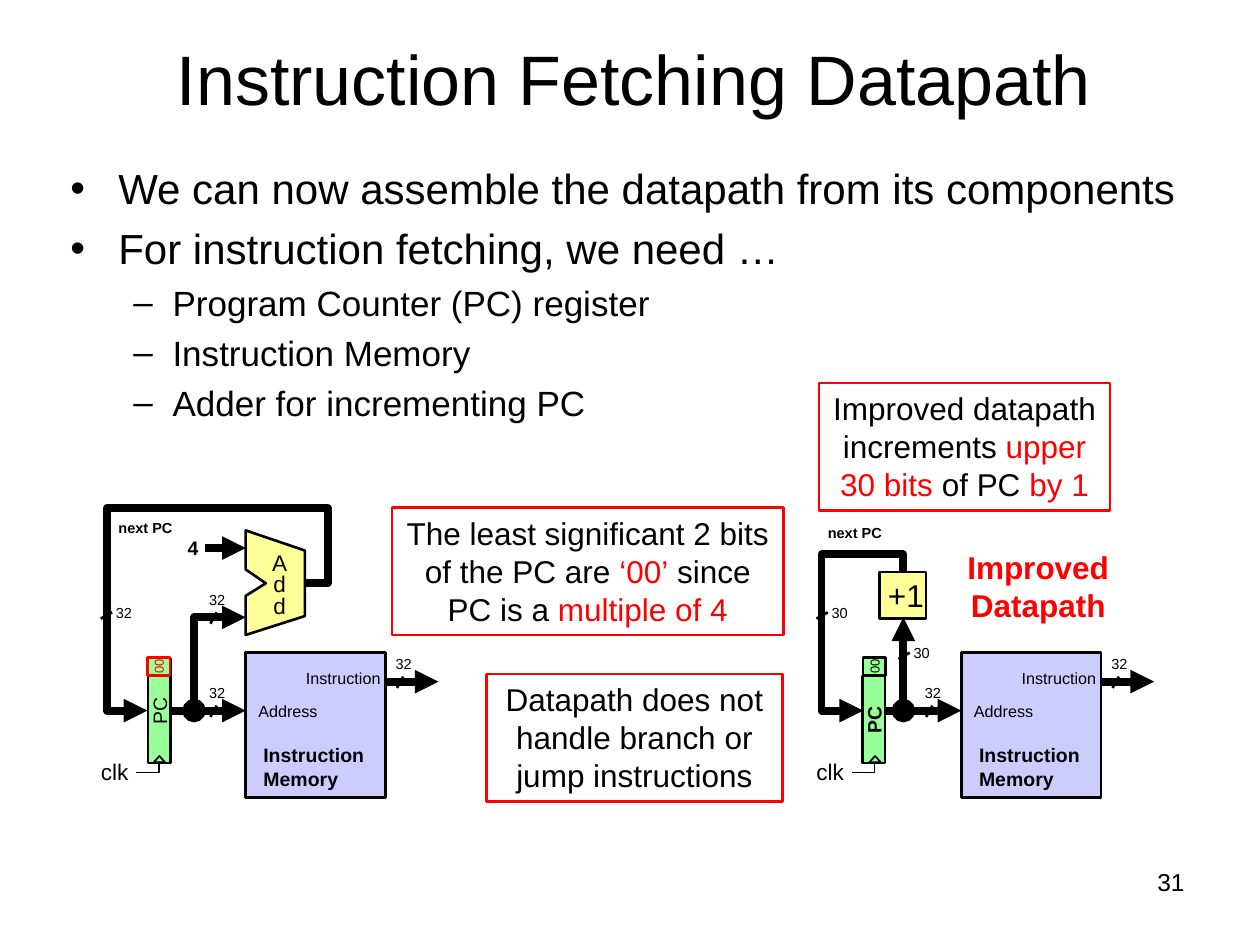
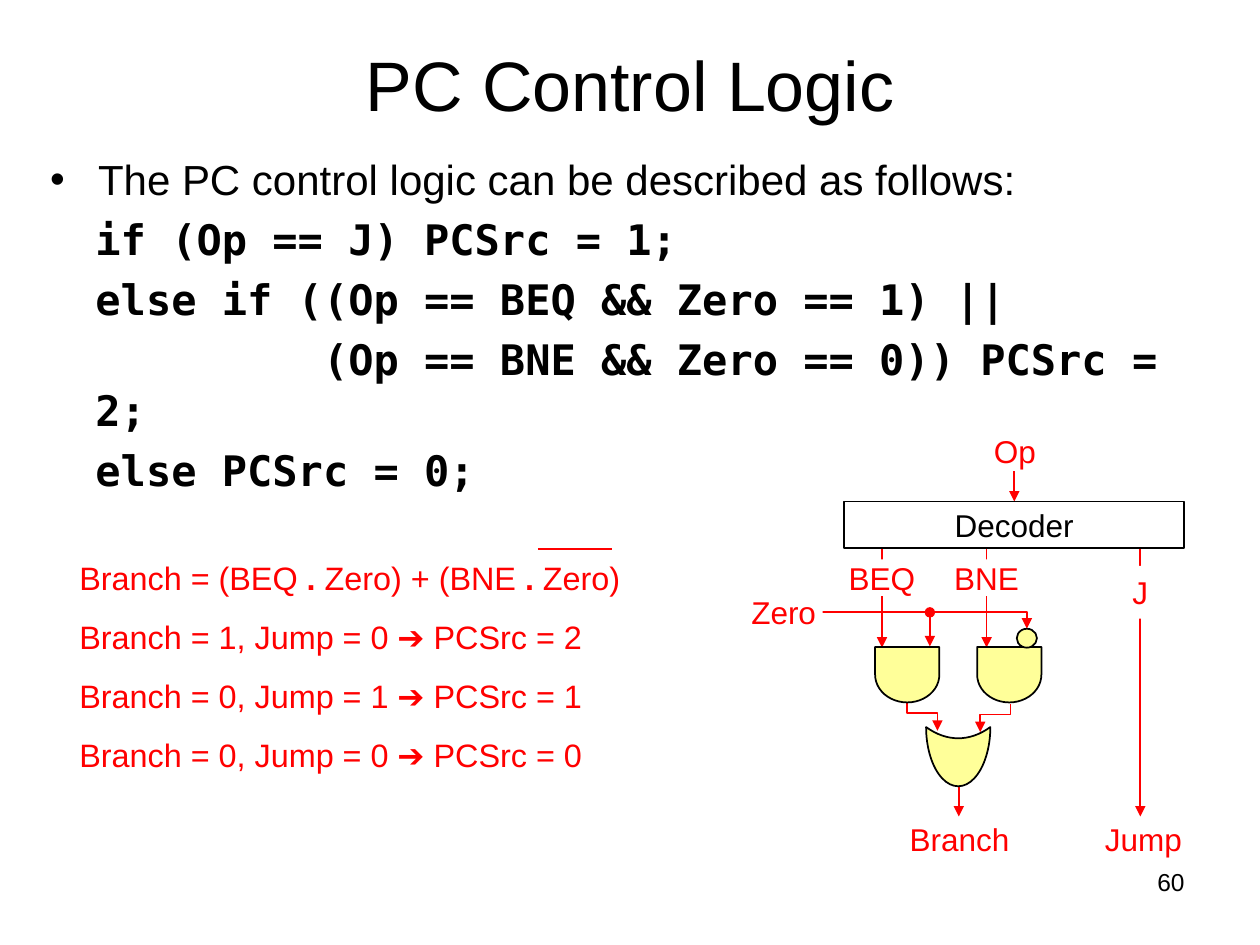
from lxml.etree import SubElement
from pptx import Presentation
from pptx.dml.color import RGBColor
from pptx.enum.shapes import MSO_CONNECTOR, MSO_SHAPE as Preset
from pptx.enum.text import MSO_ANCHOR as Anchor, PP_ALIGN as Align
from pptx.oxml.ns import qn
from pptx.util import Emu, Inches, Pt

BLACK = RGBColor(0, 0, 0)
WHITE = RGBColor(255, 255, 255)
RED = RGBColor(255, 0, 0)
GREEN = RGBColor(0x99, 0xFF, 0x99)
LILAC = RGBColor(0xCC, 0xCC, 0xFF)
YELLOW = RGBColor(0xFF, 0xFF, 0x99)
SANS, MONO = "Arial", "DejaVu Sans Mono"
TIGHT = (0, 0, 0, 0)
ROOMY = (0.1, 0.05, 0.1, 0.05)
BUS, EDGE, THIN = 4.5, 1.5, 1

STYLES = {
    "bullet": dict(left=0.38, hang=0.38, marker="•", size=24, font=SANS, bold=False),
    "dash": dict(left=0.81, hang=0.31, marker="–", size=20, font=SANS, bold=False),
    "code": dict(left=0.36, hang=0, marker=None, size=24, font=MONO, bold=True),
}

FETCH = {
    "title": "Instruction Fetching Datapath",
    "title_box": (0.53, -0.01, 9, 1.25),
    "body_box": (0.5, 1.26, 9, 2.72),
    "body_inset": (0.06, 0.03, 0.06, 0.03),
    "body": [
        ("bullet", "We can now assemble the datapath from its components"),
        ("bullet", "For instruction fetching, we need …"),
        ("dash", "Program Counter (PC) register"),
        ("dash", "Instruction Memory"),
        ("dash", "Adder for incrementing PC"),
    ],
    "number": "31",
}
CONTROL = {
    "title": "PC Control Logic",
    "title_box": (0.5, 0.04, 9, 1.25),
    "body_box": (0.3, 1.17, 9.4, 2.91),
    "body_inset": ROOMY,
    "body": [
        ("bullet", "The PC control logic can be described as follows:"),
        ("code", "if (Op == J) PCSrc = 1;"),
        ("code", "else if ((Op == BEQ && Zero == 1) ||"),
        ("code", "         (Op == BNE && Zero == 0)) PCSrc = 2;"),
        ("code", "else PCSrc = 0;"),
    ],
    "number": "60",
}

NOTES = [
    ((3.11, 4.03, 3.11, 1.01), [
        ("The least significant 2 bits of the PC are ", BLACK, False),
        ("‘00’", RED, False),
        (" since PC is a ", BLACK, False),
        ("multiple of 4", RED, False)]),
    ((3.86, 5.35, 2.35, 1.01),
     "Datapath does not handle branch or jump instructions"),
    ((6.5, 3.04, 2.31, 1.01), [
        ("Improved datapath increments ", BLACK, False),
        ("upper 30 bits", RED, False),
        (" of PC ", BLACK, False),
        ("by 1", RED, False)]),
]

BASIC = {
    "left": 0.8, "width": "32", "next_pc": (0.14, 4.12, 0.51, 0.14),
    "register": (0.05, 5.55, 0.83, 0.18), "register_bold": False, "zeros": RED,
    "loop": [(1.62, 4.63), (1.8, 4.63), (1.8, 4.03), (0.05, 4.03),
             (0.05, 5.64), (0.37, 5.64)],
    "tap": [(0.74, 5.64), (0.74, 4.9), (1.15, 4.9)],
    "tap_label": (0.83, 4.67, False),
}
IMPROVED = {
    "left": 6.48, "width": "30", "next_pc": (0.09, 4.16, 0.51, 0.14),
    "register": (0.11, 5.62, 0.69, 0.18), "register_bold": True, "zeros": BLACK,
    "loop": [(0.69, 4.54), (0.69, 4.4), (0.04, 4.4), (0.04, 5.64), (0.37, 5.64)],
    "tap": [(0.69, 5.64), (0.69, 4.9)],
    "tap_label": (0.74, 5.09, True),
}
ADDER = [(1.15, 5.04), (1.62, 4.89), (1.62, 4.37), (1.15, 4.21),
         (1.15, 4.52), (1.31, 4.63), (1.15, 4.73)]

BRANCH_RULES = [
    [("Branch = (BEQ ", RED, False), (". ", RED, True),
     ("Zero) + (BNE ", RED, False), (". ", RED, True), ("Zero)", RED, False)],
    "Branch = 1, Jump = 0 ➔ PCSrc = 2",
    "Branch = 0, Jump = 1 ➔ PCSrc = 1",
    "Branch = 0, Jump = 0 ➔ PCSrc = 0",
]
SIGNAL_WIRES = [
    ([(9.05, 4.35), (9.05, 6.48)], None, "triangle"),
    ([(8.15, 4.99), (8.15, 4.86), (6.48, 4.86)], "triangle", None),
    ([(8.05, 3.74), (8.05, 3.98)], None, "triangle"),
    ([(7, 4.35), (7, 5.14)], None, "triangle"),
    ([(7.83, 4.35), (7.83, 5.14)], None, "triangle"),
    ([(7.38, 4.86), (7.38, 5.13)], "oval", "triangle"),
    ([(7.2, 5.58), (7.2, 5.66), (7.44, 5.66), (7.44, 5.8)], None, "triangle"),
    ([(8.02, 5.59), (8.02, 5.67), (7.78, 5.67), (7.78, 5.81)], None, "triangle"),
    ([(7.61, 6.24), (7.61, 6.48)], None, "triangle"),
]
GATES = [
    (Preset.FLOWCHART_DELAY, (6.98, 5.1, 0.44, 0.51), 90),
    (Preset.FLOWCHART_DELAY, (7.79, 5.1, 0.44, 0.51), 90),
    (Preset.OVAL, (8.07, 4.99, 0.16, 0.15), 0),
    (Preset.MOON, (7.37, 5.75, 0.47, 0.51), 270),
]
SIGNALS = [
    ("Branch", (7.14, 6.51, 0.95, 0.29), None),
    ("Jump", (8.6, 6.51, 0.95, 0.29), None),
    ("Op", (7.7, 3.43, 0.71, 0.29), None),
    ("BEQ", (6.67, 4.44, 0.66, 0.29), WHITE),
    ("BNE", (7.5, 4.44, 0.66, 0.29), WHITE),
    ("J", (8.8, 4.49, 0.5, 0.42), WHITE),
    ("Zero", (5.91, 4.71, 0.62, 0.29), WHITE),
]


def write(shape, lines, size, color=BLACK, bold=False, align=Align.LEFT,
          anchor=Anchor.MIDDLE, inset=TIGHT, gap=0, spacing=None):
    frame = shape.text_frame
    frame.word_wrap = True
    frame.vertical_anchor = anchor
    (frame.margin_left, frame.margin_top,
     frame.margin_right, frame.margin_bottom) = map(Inches, inset)
    for index, line in enumerate(lines):
        para = frame.paragraphs[0] if index == 0 else frame.add_paragraph()
        para.alignment = align
        para.line_spacing = spacing
        if index:
            para.space_before = Pt(gap)
        para.font.name, para.font.size = SANS, Pt(size)
        if isinstance(line, str):
            para.text = line
            para.font.color.rgb, para.font.bold = color, bold
            continue
        for words, span_color, span_bold in line:
            span = para.add_run()
            span.text = words
            span.font.color.rgb, span.font.bold = span_color, span_bold


def label(page, box, lines, size, left=0, **style):
    x, y, width, height = box
    shape = page.shapes.add_textbox(*map(Inches, (left + x, y, width, height)))
    write(shape, lines, size, **style)
    return shape


def paint(shape, fill, line, weight):
    shape.shadow.inherit = False
    if fill is None:
        shape.fill.background()
    else:
        shape.fill.solid()
        shape.fill.fore_color.rgb = fill
    if line is None:
        shape.line.fill.background()
    else:
        shape.line.color.rgb, shape.line.width = line, Pt(weight)


def block(page, box, fill=None, line=BLACK, weight=EDGE, left=0,
          preset=Preset.RECTANGLE, turn=0):
    x, y, width, height = box
    shape = page.shapes.add_shape(preset, *map(Inches, (left + x, y, width, height)))
    shape.rotation = turn
    paint(shape, fill, line, weight)
    return shape


def outline(page, points, left, close):
    corners = [(Inches(left + x), Inches(y)) for x, y in points]
    builder = page.shapes.build_freeform(*corners[0], scale=1.0)
    builder.add_line_segments(corners[1:], close=close)
    return builder.convert_to_shape()


def wire(page, points, color=BLACK, weight=BUS, left=0, head=None, tail=None):
    if len(points) == 2:
        ends = [Emu(Inches(value)) for x, y in points for value in (left + x, y)]
        shape = page.shapes.add_connector(MSO_CONNECTOR.STRAIGHT, *ends)
        shape.line.color.rgb, shape.line.width = color, Pt(weight)
        SubElement(shape.element.spPr, qn("a:effectLst"))
    else:
        shape = outline(page, points, left, False)
        paint(shape, None, color, weight)
    stroke = shape.element.spPr.find(qn("a:ln"))
    for tag, kind in (("a:headEnd", head), ("a:tailEnd", tail)):
        if kind:
            SubElement(stroke, qn(tag)).set("type", kind)


def bus_label(page, x, y, upright, text, left):
    label(page, (x, y, 0.18, 0.18), [text], 8.3, left, inset=(0.03, 0, 0, 0))
    tick = ([(x, y + 0.09), (x - 0.09, y + 0.14)] if upright
            else [(x + 0.09, y + 0.19), (x + 0.04, y + 0.28)])
    wire(page, tick, weight=EDGE, left=left)


def add_body(page, content):
    box = page.shapes.add_textbox(*map(Inches, content["body_box"]))
    frame = box.text_frame
    frame.word_wrap = True
    (frame.margin_left, frame.margin_top,
     frame.margin_right, frame.margin_bottom) = map(Inches, content["body_inset"])
    for index, (kind, text) in enumerate(content["body"]):
        style = STYLES[kind]
        para = frame.paragraphs[0] if index == 0 else frame.add_paragraph()
        para.text = text
        props = para._p.get_or_add_pPr()
        props.set("marL", str(Inches(style["left"])))
        props.set("indent", str(-Inches(style["hang"])))
        if style["marker"]:
            SubElement(props, qn("a:buFont")).set("typeface", SANS)
            SubElement(props, qn("a:buChar")).set("char", style["marker"])
        if index:
            para.space_before = Pt(style["size"] * 0.23)
        para.font.name, para.font.size = style["font"], Pt(style["size"])
        para.font.bold, para.font.color.rgb = style["bold"], BLACK


def start_page(deck, content):
    page = deck.slides.add_slide(deck.slide_layouts[5])
    title = page.shapes.title
    title.left, title.top, title.width, title.height = map(Inches, content["title_box"])
    write(title, [content["title"]], 40, align=Align.CENTER, inset=ROOMY)
    add_body(page, content)
    label(page, (7.17, 6.83, 2.33, 0.52), [content["number"]], 14,
          align=Align.RIGHT, anchor=Anchor.TOP, inset=ROOMY)
    return page


def draw_datapath(page, path_plan):
    left = path_plan["left"]
    wire(page, path_plan["loop"], left=left, tail="triangle")
    wire(page, path_plan["tap"], left=left, head="oval", tail="triangle")
    wire(page, [(0.55, 5.64), (1.15, 5.64)], left=left, tail="triangle")
    wire(page, [(2.26, 5.41), (2.68, 5.41)], left=left, tail="triangle")

    block(page, (1.15, 5.18, 1.11, 1.15), LILAC, left=left)
    label(page, (1.25, 5.5, 0.69, 0.28), ["Address"], 9.2, left)
    label(page, (1.34, 5.27, 0.88, 0.23), ["Instruction"], 9.2, left, align=Align.RIGHT)
    label(page, (1.29, 5.83, 0.88, 0.51), ["Instruction", "Memory"], 11.1, left, bold=True)

    register = block(page, path_plan["register"], GREEN, left=left, turn=270)
    write(register, ["PC"], 11.1, bold=path_plan["register_bold"], align=Align.CENTER)
    zeros = block(page, (0.39, 5.2, 0.14, 0.18), GREEN, path_plan["zeros"],
                  left=left, turn=270)
    write(zeros, ["00"], 7.4, path_plan["zeros"], align=Align.CENTER)

    tap_x, tap_y, tap_upright = path_plan["tap_label"]
    for x, y, upright, text in [
        (2.31, 5.18, False, "32"),
        (0.83, 5.41, False, "32"),
        (0.09, 4.77, True, path_plan["width"]),
        (tap_x, tap_y, tap_upright, path_plan["width"]),
    ]:
        bus_label(page, x, y, upright, text, left)

    label(page, path_plan["next_pc"], ["next PC"], 8.3, left, bold=True)
    block(page, (0.42, 6, 0.09, 0.05), weight=THIN, left=left,
          preset=Preset.ISOSCELES_TRIANGLE)
    wire(page, [(0.46, 6.05), (0.46, 6.13), (0.28, 6.13)], weight=THIN, left=left)
    label(page, (0, 6.03, 0.28, 0.19), ["clk"], 12.9, left)


def build_fetch(deck):
    page = start_page(deck, FETCH)
    for box, text in NOTES:
        note = block(page, box, line=RED)
        write(note, [text], 18, align=Align.CENTER, anchor=Anchor.TOP, inset=ROOMY)
    for path_plan in (BASIC, IMPROVED):
        draw_datapath(page, path_plan)

    left = BASIC["left"]
    wire(page, [(0.83, 4.35), (1.15, 4.35)], left=left, tail="triangle")
    label(page, (0.69, 4.21, 0.14, 0.28), ["4"], 11.1, left, bold=True)
    paint(outline(page, ADDER, left, True), YELLOW, BLACK, EDGE)
    label(page, (1.23, 4.35, 0.38, 0.61), list("Add"), 12.9, left,
          align=Align.CENTER, spacing=0.8)

    increment = block(page, (6.98, 4.54, 0.37, 0.37), YELLOW)
    write(increment, ["+1"], 18, align=Align.CENTER, inset=(0.05, 0, 0, 0))
    label(page, (7.54, 4.3, 1.4, 0.71), ["Improved", "Datapath"], 18, color=RED,
          bold=True, align=Align.CENTER, anchor=Anchor.TOP, inset=ROOMY)


def build_control(deck):
    page = start_page(deck, CONTROL)
    label(page, (0.63, 4.35, 5.07, 2.03), BRANCH_RULES, 18.5, color=RED,
          anchor=Anchor.TOP, inset=(0, 0.05, 0, 0.05), gap=9.25, spacing=1.1)
    wire(page, [(4.27, 4.36), (4.86, 4.36)], RED, THIN)
    for points, head, tail in SIGNAL_WIRES:
        wire(page, points, RED, THIN, head=head, tail=tail)
    for preset, box, turn in GATES:
        gate = block(page, box, YELLOW, weight=THIN, preset=preset, turn=turn)
        if preset == Preset.MOON:
            gate.adjustments[0] = 0.81
    decoder = block(page, (6.7, 3.98, 2.7, 0.37), weight=THIN)
    write(decoder, ["Decoder"], 18, align=Align.CENTER, inset=ROOMY)
    for name, box, fill in SIGNALS:
        signal = block(page, box, fill, line=None)
        write(signal, [name], 18, RED, align=Align.CENTER)


def main():
    deck = Presentation()
    deck.slide_width, deck.slide_height = Inches(10), Inches(7.5)
    build_fetch(deck)
    build_control(deck)
    deck.save("out.pptx")


if __name__ == "__main__":
    main()
